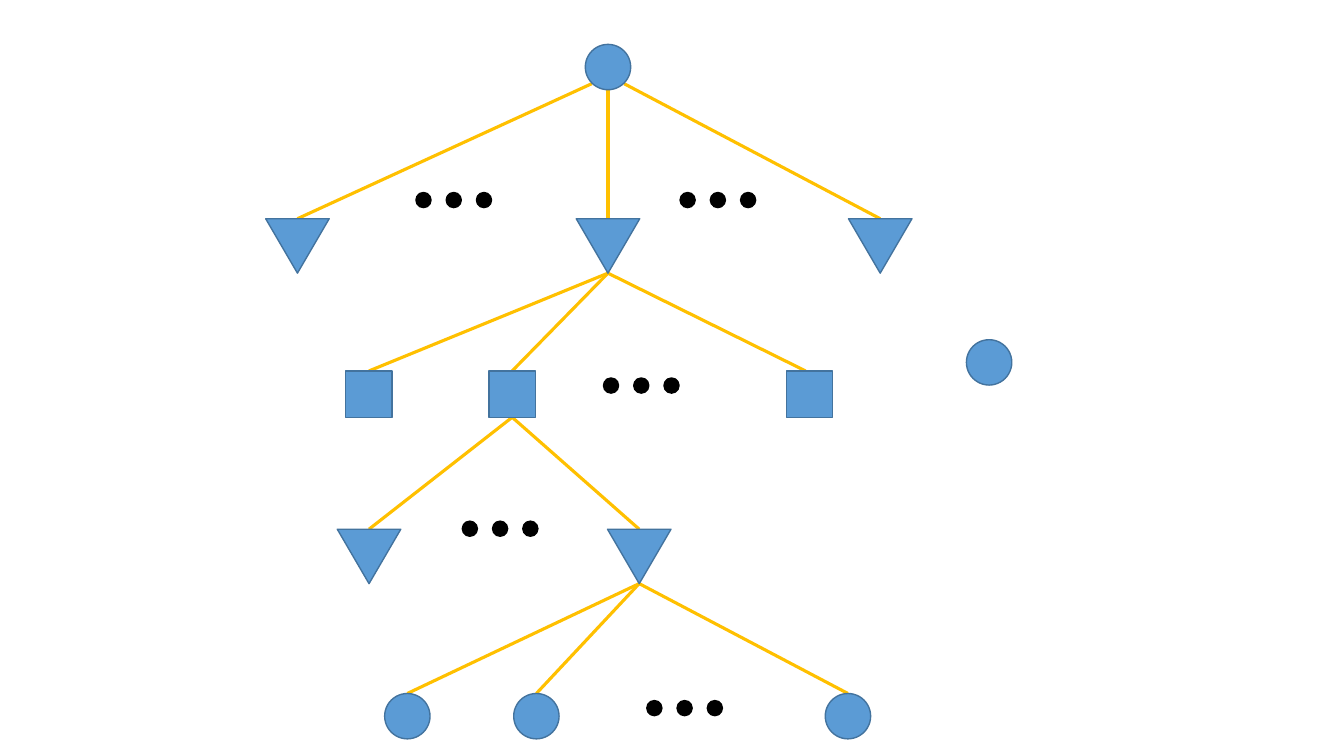
"""Build a tree of circles, triangles and squares joined by branches."""
from pptx import Presentation
from pptx.dml.color import RGBColor
from pptx.enum.shapes import MSO_CONNECTOR, MSO_SHAPE as Shape
from pptx.oxml.ns import qn
from pptx.util import Inches, Pt

COLORS = {"node": "5B9BD5", "outline": "43739E", "branch": "FFC000", "dot": "000000"}

KINDS = {
    "circle": (Shape.OVAL, 0.45, 0.45, 0),
    "triangle": (Shape.ISOSCELES_TRIANGLE, 0.63, 0.54, 180),
    "square": (Shape.RECTANGLE, 0.46, 0.46, 0),
    "dot": (Shape.OVAL, 0.15, 0.15, 0),
}

# Each node: kind, centre x, top
NODES = {
    "root": ("circle", 6.03, 0.44),
    "first left": ("triangle", 2.95, 2.17),
    "first middle": ("triangle", 6.03, 2.17),
    "first right": ("triangle", 8.73, 2.17),
    "second left": ("square", 3.66, 3.68),
    "second middle": ("square", 5.08, 3.68),
    "second right": ("square", 8.03, 3.68),
    "third left": ("triangle", 3.66, 5.25),
    "third right": ("triangle", 6.34, 5.25),
    "leaf left": ("circle", 4.04, 6.88),
    "leaf middle": ("circle", 5.32, 6.88),
    "leaf right": ("circle", 8.41, 6.88),
    "separate": ("circle", 9.81, 3.37),
}

BRANCHES = {
    "root": ["first left", "first middle", "first right"],
    "first middle": ["second left", "second middle", "second right"],
    "second middle": ["third left", "third right"],
    "third right": ["leaf left", "leaf middle", "leaf right"],
}

START_SHIFTS = {"first left": (-0.16, -0.06), "first right": (0.16, -0.06)}
END_SHIFTS = {"second right": -0.04}

ELLIPSES = [(4.2, 1.91), (6.82, 1.91), (6.06, 3.75), (4.66, 5.17), (6.49, 6.95)]
DOT_STEP = 0.3


def add_mark(slide, kind, center, top, fill, outline):
    preset, width, height, rotation = KINDS[kind]
    mark = slide.shapes.add_shape(
        preset, Inches(center - width / 2), Inches(top), Inches(width), Inches(height)
    )
    mark.rotation = rotation
    mark.shadow.inherit = False
    mark.fill.solid()
    mark.fill.fore_color.rgb = RGBColor.from_string(COLORS[fill])
    mark.line.color.rgb = RGBColor.from_string(COLORS[outline])
    mark.line.width = Pt(1)


def add_branch(slide, parent, child):
    kind, start_x, parent_top = NODES[parent]
    _, end_x, end_y = NODES[child]
    shift_x, shift_y = START_SHIFTS.get(child, (0, 0))
    start_y = parent_top + KINDS[kind][2] + shift_y
    end_x += END_SHIFTS.get(child, 0)
    ends = (start_x + shift_x, start_y, end_x, end_y)
    branch = slide.shapes.add_connector(MSO_CONNECTOR.STRAIGHT, *map(Inches, ends))
    branch.line.color.rgb = RGBColor.from_string(COLORS["branch"])
    branch.line.width = Pt(2.25)
    properties = branch._element.spPr
    properties.append(properties.makeelement(qn("a:effectLst"), {}))


deck = Presentation()
deck.slide_width, deck.slide_height = Inches(13.33), Inches(7.5)
tree = deck.slides.add_slide(deck.slide_layouts[6])

for parent, children in BRANCHES.items():
    for child in children:
        add_branch(tree, parent, child)

for first_center, top in ELLIPSES:
    for position in range(3):
        add_mark(tree, "dot", first_center + position * DOT_STEP, top, "dot", "dot")

for kind, center, top in NODES.values():
    add_mark(tree, kind, center, top, "node", "outline")

deck.save("out.pptx")
